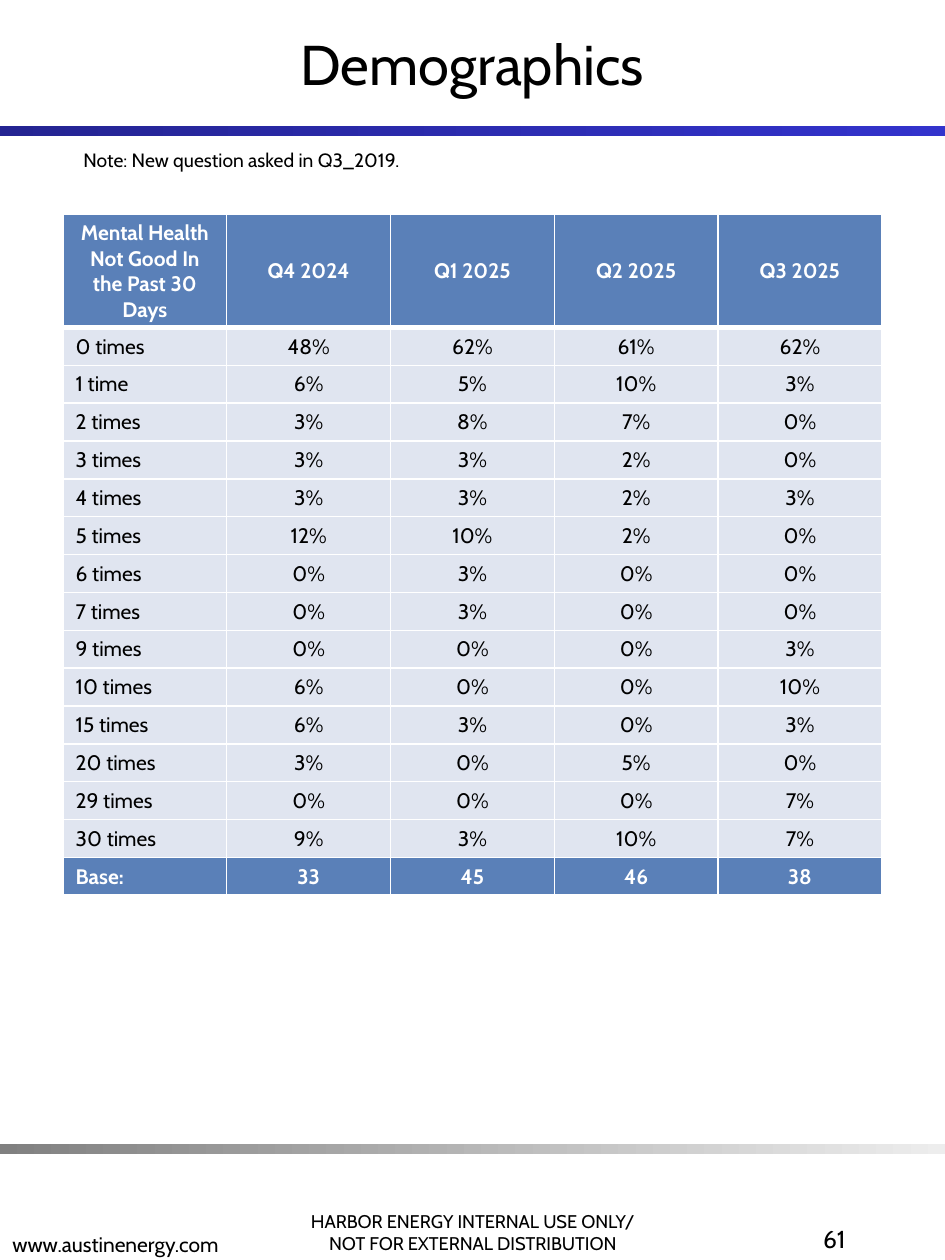
"""Build the Demographics slide: a quarterly table of days with poor mental health."""
from lxml.etree import SubElement
from pptx import Presentation
from pptx.dml.color import RGBColor
from pptx.enum.shapes import MSO_SHAPE
from pptx.enum.text import MSO_ANCHOR, PP_ALIGN
from pptx.oxml.ns import qn
from pptx.util import Pt

PX = 914400 // 126
FONT = "Cabin"
COLOURS = {
    "text": "000000",
    "white": "FFFFFF",
    "header": "5A80B8",
    "body": "E0E5F0",
    "navy": "242492",
    "blue": "3333CC",
    "grey": "808080",
    "silver": "EDEDED",
}


def rgb(name):
    return RGBColor.from_string(COLOURS[name])


def write(frame, lines, size, align, anchor, colour="text", bold=False):
    frame.word_wrap = True
    frame.vertical_anchor = anchor
    formats = {"name": FONT, "size": Pt(size), "bold": bold}
    for index, line in enumerate(lines):
        para = frame.paragraphs[0] if index == 0 else frame.add_paragraph()
        para.alignment = align
        span = para.add_run()
        span.text = line
        for key, value in formats.items():
            setattr(span.font, key, value)
        span.font.color.rgb = rgb(colour)


deck = Presentation()
deck.slide_width, deck.slide_height = 945 * PX, 1260 * PX
page = deck.slides.add_slide(deck.slide_layouts[5])

for top, start, end in [(126, "navy", "blue"), (1144, "grey", "silver")]:
    bar = page.shapes.add_shape(MSO_SHAPE.RECTANGLE, 0, top * PX, 945 * PX, 10 * PX)
    bar.shadow.inherit = False
    bar.line.fill.background()
    bar.fill.gradient()
    bar.fill.gradient_angle = 0
    for stop, name, position in zip(bar.fill.gradient_stops, (start, end), (0, 1)):
        stop.color.rgb = rgb(name)
        stop.position = position

title = page.shapes.title
title.left, title.top, title.width, title.height = 0, 0, 945 * PX, 126 * PX
write(title.text_frame, ["Demographics"], 32, PP_ALIGN.CENTER, MSO_ANCHOR.MIDDLE)

notice = ["HARBOR ENERGY INTERNAL USE ONLY/", "NOT FOR EXTERNAL DISTRIBUTION"]
labels = [
    ((272, 1176, 402, 84), notice, 10.5, PP_ALIGN.CENTER, MSO_ANCHOR.BOTTOM),
    ((0, 1179, 402, 84), ["www.austinenergy.com"], 12, PP_ALIGN.LEFT, MSO_ANCHOR.BOTTOM),
    ((662, 1218, 196, 84), ["61"], 14, PP_ALIGN.RIGHT, MSO_ANCHOR.TOP),
    ((71, 142, 811, 36), ["Note: New question asked in Q3_2019."], 11, PP_ALIGN.LEFT, MSO_ANCHOR.TOP),
]
for place, lines, size, align, anchor in labels:
    box = page.shapes.add_textbox(*(length * PX for length in place))
    write(box.text_frame, lines, size, align, anchor)

rows = [
    ("Mental Health Not Good In the Past 30 Days", "Q4 2024", "Q1 2025", "Q2 2025", "Q3 2025"),
    ("0 times", "48%", "62%", "61%", "62%"),
    ("1 time", "6%", "5%", "10%", "3%"),
    ("2 times", "3%", "8%", "7%", "0%"),
    ("3 times", "3%", "3%", "2%", "0%"),
    ("4 times", "3%", "3%", "2%", "3%"),
    ("5 times", "12%", "10%", "2%", "0%"),
    ("6 times", "0%", "3%", "0%", "0%"),
    ("7 times", "0%", "3%", "0%", "0%"),
    ("9 times", "0%", "0%", "0%", "3%"),
    ("10 times", "6%", "0%", "0%", "10%"),
    ("15 times", "6%", "3%", "0%", "3%"),
    ("20 times", "3%", "0%", "5%", "0%"),
    ("29 times", "0%", "0%", "0%", "7%"),
    ("30 times", "9%", "3%", "10%", "7%"),
    ("Base:", "33", "45", "46", "38"),
]
last = len(rows) - 1
table = page.shapes.add_table(
    len(rows), len(rows[0]), 63 * PX, 214 * PX, 819 * PX, (112 + 37 * last) * PX
).table
for column in table.columns:
    column.width = 819 * PX // len(rows[0])

for row_index, values in enumerate(rows):
    table.rows[row_index].height = (112 if row_index == 0 else 37) * PX
    strong = row_index in (0, last)
    for column_index, value in enumerate(values):
        cell = table.cell(row_index, column_index)
        centred = row_index == 0 or column_index > 0
        write(
            cell.text_frame,
            [value],
            12,
            PP_ALIGN.CENTER if centred else PP_ALIGN.LEFT,
            MSO_ANCHOR.MIDDLE,
            "white" if strong else "text",
            strong,
        )
        cell.vertical_anchor = MSO_ANCHOR.MIDDLE
        properties = cell._tc.get_or_add_tcPr()
        for side in ("lnL", "lnR", "lnT", "lnB"):
            thick = (row_index, side) in ((0, "lnB"), (1, "lnT"))
            border = SubElement(properties, qn(f"a:{side}"), w=str(Pt(3 if thick else 1)))
            paint = SubElement(border, qn("a:solidFill"))
            SubElement(paint, qn("a:srgbClr"), val=COLOURS["white"])
        cell.fill.solid()
        cell.fill.fore_color.rgb = rgb("header" if strong else "body")

deck.save("out.pptx")
